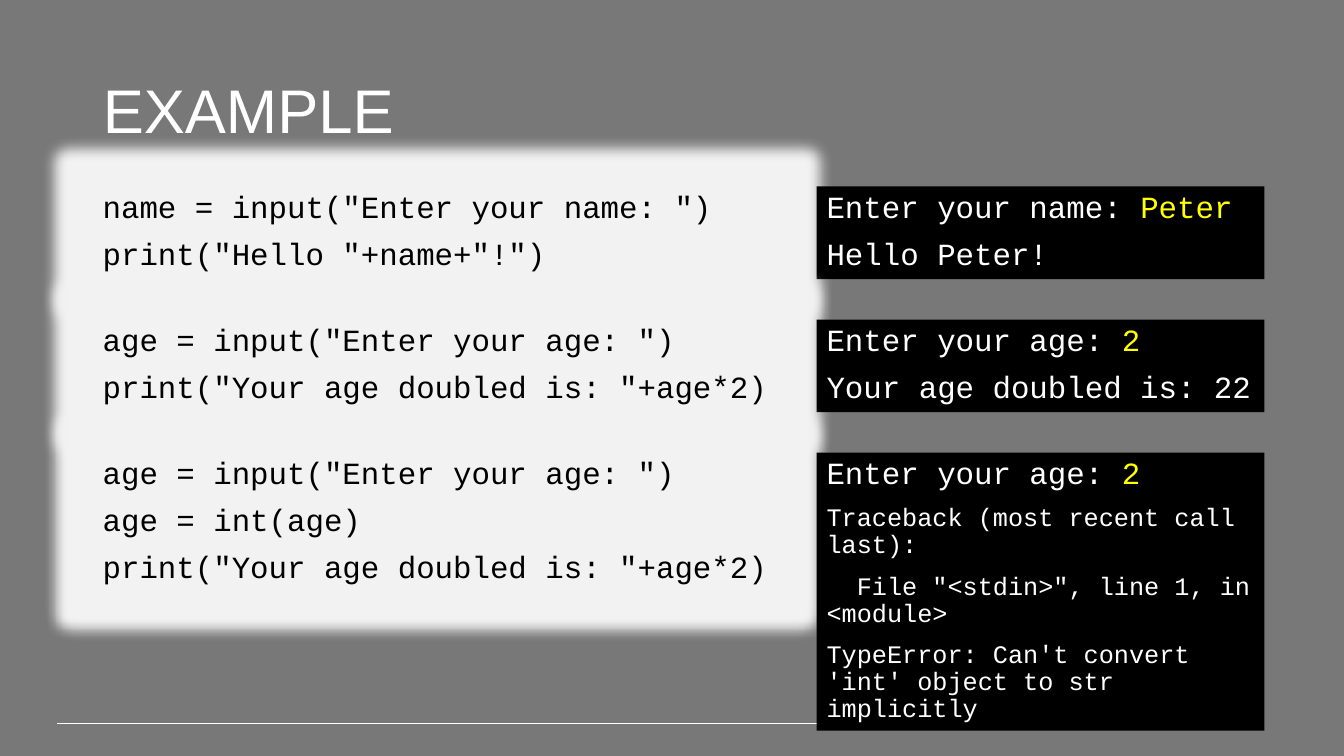
from lxml.etree import SubElement
from pptx import Presentation
from pptx.dml.color import RGBColor
from pptx.enum.shapes import MSO_CONNECTOR, MSO_SHAPE
from pptx.enum.text import MSO_ANCHOR, MSO_AUTO_SIZE, PP_ALIGN
from pptx.oxml.ns import qn
from pptx.util import Inches, Pt


def color(value):
    return RGBColor.from_string(value)


def add_code_box(page, left, top, width, height, fill, lines):
    box = page.shapes.add_shape(
        MSO_SHAPE.RECTANGLE, Inches(left), Inches(top), Inches(width), Inches(height)
    )
    box.shadow.inherit = False
    box.fill.solid()
    box.fill.fore_color.rgb = color(fill)
    box.line.fill.background()
    frame = box.text_frame
    frame_format = {
        "word_wrap": True,
        "vertical_anchor": MSO_ANCHOR.TOP,
        "auto_size": MSO_AUTO_SIZE.SHAPE_TO_FIT_TEXT,
    }
    for name, value in frame_format.items():
        setattr(frame, name, value)
    for index, (size, spans) in enumerate(lines):
        para = frame.add_paragraph() if index else frame.paragraphs[0]
        para_format = {
            "alignment": PP_ALIGN.LEFT,
            "line_spacing": 0.9,
            "space_before": Pt(10 if index else 0),
        }
        for name, value in para_format.items():
            setattr(para, name, value)
        for text, text_color in spans:
            span = para.add_run()
            span.text = text
            for name, value in {"name": "Courier New", "size": Pt(size)}.items():
                setattr(span.font, name, value)
            span.font.color.rgb = color(text_color)
    return box


BLACK, WHITE, YELLOW, PALE = "000000", "FFFFFF", "FFFF00", "F2F2F2"

deck = Presentation()
deck.slide_width = Inches(13.33)
deck.slide_height = Inches(7.5)
page = deck.slides.add_slide(deck.slide_layouts[5])
page.background.fill.solid()
page.background.fill.fore_color.rgb = color("787878")

rule = page.shapes.add_connector(
    MSO_CONNECTOR.STRAIGHT, Inches(0.57), Inches(7.18), Inches(10.36), Inches(7.18)
)
rule.line.color.rgb = color(WHITE)
rule.line.width = Pt(0.75)
SubElement(rule._element.spPr, qn("a:effectLst"))

title = page.shapes.title
title_place = {"left": 0.92, "top": 0.4, "width": 11.5, "height": 1.45}
for name, value in title_place.items():
    setattr(title, name, Inches(value))
title.text_frame.text = "EXAMPLE"
title.text_frame.vertical_anchor = MSO_ANCHOR.MIDDLE
title_para = title.text_frame.paragraphs[0]
for name, value in {"alignment": PP_ALIGN.LEFT, "line_spacing": 0.9}.items():
    setattr(title_para, name, value)
for name, value in {"name": "Arial", "size": Pt(44)}.items():
    setattr(title_para.font, name, value)
title_para.font.color.rgb = color(WHITE)

examples = [
    {
        "code": ['name = input("Enter your name: ")', 'print("Hello "+name+"!")'],
        "prompt": "Enter your name: ",
        "answer": "Peter",
        "output": ["Hello Peter!"],
        "output_size": 22,
        "heights": (0.92, 0.92),
    },
    {
        "code": ['age = input("Enter your age: ")', 'print("Your age doubled is: "+age*2)'],
        "prompt": "Enter your age: ",
        "answer": "2",
        "output": ["Your age doubled is: 22"],
        "output_size": 22,
        "heights": (0.92, 0.92),
    },
    {
        "code": [
            'age = input("Enter your age: ")',
            "age = int(age)",
            'print("Your age doubled is: "+age*2)',
        ],
        "prompt": "Enter your age: ",
        "answer": "2",
        "output": [
            "Traceback (most recent call last):",
            '  File "<stdin>", line 1, in <module>',
            "TypeError: Can't convert 'int' object to str implicitly",
        ],
        "output_size": 18,
        "heights": (1.38, 2.76),
    },
]

for row, example in enumerate(examples):
    top = 1.85 + row * 1.32
    code_height, console_height = example["heights"]
    code_lines = [(22, [(line, BLACK)]) for line in example["code"]]
    code_box = add_code_box(page, 0.92, top, 6.83, code_height, PALE, code_lines)
    glow = SubElement(
        code_box._element.spPr.find(qn("a:effectLst")), qn("a:glow"), rad=str(Pt(18))
    )
    SubElement(glow, qn("a:srgbClr"), val=PALE)

    console_lines = [(22, [(example["prompt"], WHITE), (example["answer"], YELLOW)])]
    console_lines += [(example["output_size"], [(line, WHITE)]) for line in example["output"]]
    add_code_box(page, 8.1, top, 4.44, console_height, BLACK, console_lines)

deck.save("out.pptx")
